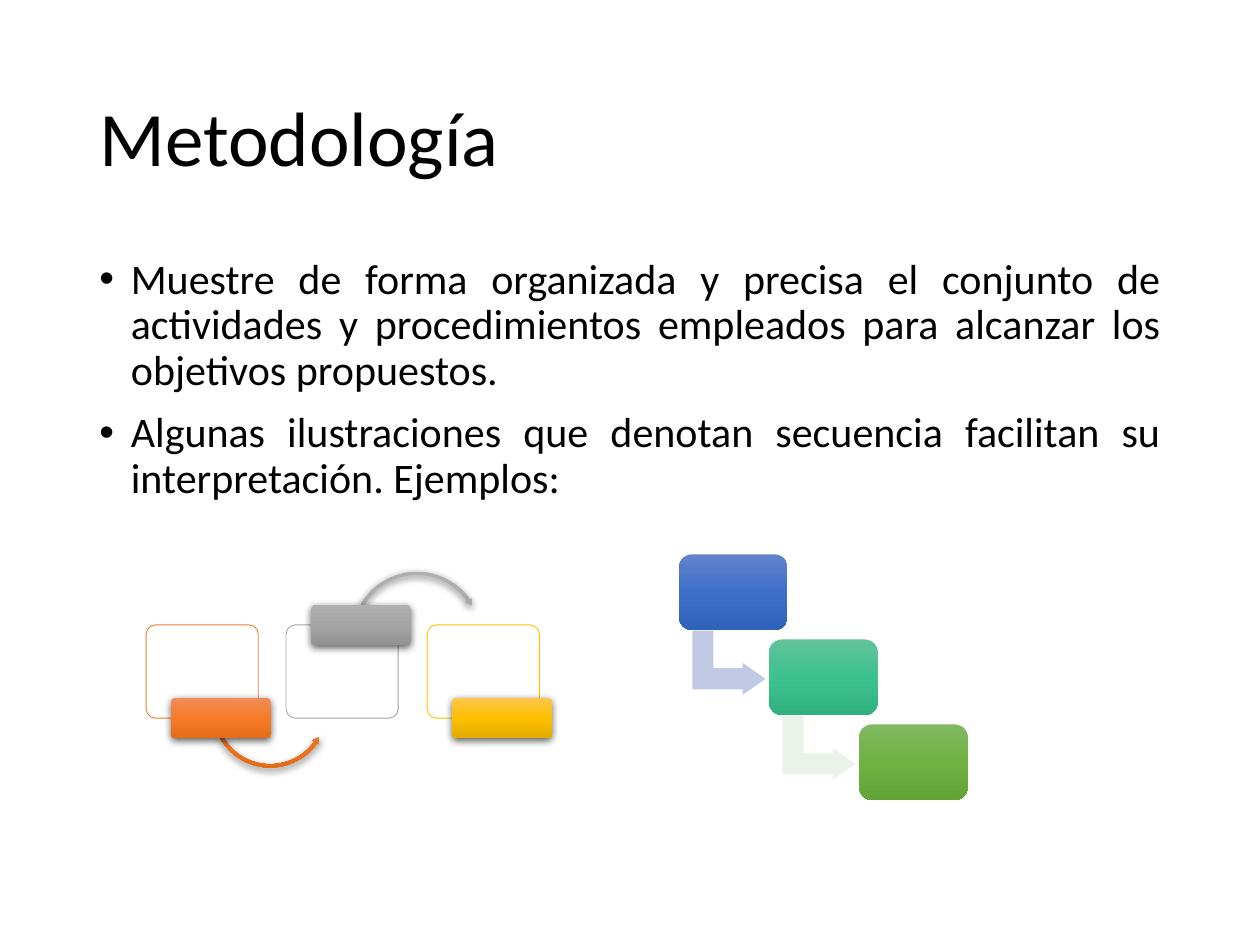
import copy

import pptx
import pptx.dml.color
import pptx.enum.shapes
import pptx.enum.text
import pptx.oxml
import pptx.oxml.ns
import pptx.util

Inches, Pt = pptx.util.Inches, pptx.util.Pt
RGBColor = pptx.dml.color.RGBColor
MSO_SHAPE = pptx.enum.shapes.MSO_SHAPE
PP_ALIGN = pptx.enum.text.PP_ALIGN
MSO_ANCHOR = pptx.enum.text.MSO_ANCHOR
qn = pptx.oxml.ns.qn
NS = pptx.oxml.ns.nsdecls("a")

BLACK = RGBColor(0x00, 0x00, 0x00)
WHITE = RGBColor(0xFF, 0xFF, 0xFF)
ORANGE_LINE = RGBColor(0xED, 0x7D, 0x31)
GRAY_LINE = RGBColor(0xA5, 0xA5, 0xA5)
GOLD_LINE = RGBColor(0xFF, 0xC0, 0x00)
ORANGE = [RGBColor(0xF1, 0x8C, 0x57), RGBColor(0xF6, 0x7B, 0x28), RGBColor(0xE5, 0x6C, 0x19)]
GRAY = [RGBColor(0xAF, 0xAF, 0xAF), GRAY_LINE, RGBColor(0x93, 0x93, 0x93)]
GOLD = [RGBColor(0xFF, 0xC6, 0x4B), GOLD_LINE, RGBColor(0xE3, 0xAB, 0x00)]
BLUE = [RGBColor(0x61, 0x83, 0xCB), RGBColor(0x3E, 0x70, 0xCA), RGBColor(0x30, 0x62, 0xBB)]
TEAL = [RGBColor(0x60, 0xC3, 0x9A), RGBColor(0x3D, 0xC1, 0x8F), RGBColor(0x31, 0xB0, 0x80)]
GREEN = [RGBColor(0x81, 0xB8, 0x61), RGBColor(0x6F, 0xB2, 0x42), RGBColor(0x62, 0xA3, 0x36)]
PALE_BLUE = RGBColor(0xC1, 0xC9, 0xE4)
PALE_GREEN = RGBColor(0xEB, 0xF2, 0xE9)

prs = pptx.Presentation()
prs.slide_width, prs.slide_height = Inches(10), Inches(7.5)
s = prs.slides.add_slide(prs.slide_layouts[6])


def add_shape(kind, box, adjustments, fill, line=None, shadow=False):
    """Add a preset shape; a list of three colours makes a vertical gradient."""
    sp = s.shapes.add_shape(kind, *[Inches(v) for v in box])
    for i, value in enumerate(adjustments):
        sp.adjustments[i] = value
    if isinstance(fill, list):
        sp.fill.gradient()
        stops = sp._element.spPr.find(".//" + qn("a:gsLst"))
        stops.append(copy.deepcopy(stops[-1]))
        for stop, color, position in zip(sp.fill.gradient_stops, fill, (0, 0.5, 1)):
            stop.color.rgb, stop.position = color, position
        sp.fill.gradient_angle = 270
    else:
        sp.fill.solid()
        sp.fill.fore_color.rgb = fill
    if line is None:
        sp.line.fill.background()
    else:
        sp.line.color.rgb, sp.line.width = line, Pt(0.5)
    sp.shadow.inherit = False
    if shadow:
        sp._element.spPr.find(qn("a:effectLst")).append(pptx.oxml.parse_xml(
            f'<a:outerShdw {NS} blurRad="57150" dist="19050" dir="5400000" algn="ctr" '
            'rotWithShape="0"><a:srgbClr val="000000"><a:alpha val="63000"/>'
            '</a:srgbClr></a:outerShdw>'))
    return sp


def add_text(box, anchor, paragraphs, size, bullet=False):
    tf = s.shapes.add_textbox(*[Inches(v) for v in box]).text_frame
    tf.word_wrap, tf.vertical_anchor = True, anchor
    for i, text in enumerate(paragraphs):
        p = tf.paragraphs[0] if i == 0 else tf.add_paragraph()
        p.line_spacing = 0.9
        if i:
            p.space_before = Pt(10)
        if bullet:
            p.alignment = PP_ALIGN.JUSTIFY
            pPr = p._p.get_or_add_pPr()
            pPr.set("marL", str(Inches(0.25)))
            pPr.set("indent", str(Inches(-0.25)))
            pPr.append(pptx.oxml.parse_xml(f'<a:buFont {NS} typeface="Arial"/>'))
            pPr.append(pptx.oxml.parse_xml(f'<a:buChar {NS} char="•"/>'))
        r = p.add_run()
        r.text = text
        for name, value in {"name": "Calibri", "size": Pt(size)}.items():
            setattr(r.font, name, value)
        r.font.color.rgb = BLACK


# Alternating flow: panel, curved arrow and tab for each stage
stages = [
    (ORANGE_LINE, ORANGE, 1.36, 5.54,
     (MSO_SHAPE.LEFT_CIRCULAR_ARROW, (1.67, 5.16, 0.95, 0.95),
      (0.028, 3.427, 21.182, 90.245, 0.033))),
    (GRAY_LINE, GRAY, 2.47, 4.8,
     (MSO_SHAPE.CIRCULAR_ARROW, (2.78, 4.52, 1.06, 1.06),
      (0.025, 3.039, 195.206, 125.755, 0.029))),
    (GOLD_LINE, GOLD, 3.59, 5.54, None),
]
for line, fill, tab_x, tab_y, arrow in stages:
    panel = add_shape(MSO_SHAPE.ROUNDED_RECTANGLE, (tab_x - 0.2, 4.96, 0.89, 0.74),
                      [0.1], WHITE, line)
    white = panel._element.spPr.find(qn("a:solidFill"))[0]
    white.append(pptx.oxml.parse_xml(f'<a:alpha {NS} val="90000"/>'))
    if arrow:
        add_shape(*arrow, fill, shadow=True)
    add_shape(MSO_SHAPE.ROUNDED_RECTANGLE, (tab_x, tab_y, 0.79, 0.32), [0.1], fill, shadow=True)

# Step-down process: bent arrow leading from each step to the next
for i, (fill, arrow_fill) in enumerate([(BLUE, PALE_BLUE), (TEAL, PALE_GREEN), (GREEN, None)]):
    dx, dy = 0.715 * i, 0.675 * i
    if arrow_fill is not None:
        sp = add_shape(MSO_SHAPE.BENT_UP_ARROW, (5.53 + dx, 4.97 + dy, 0.51, 0.58),
                       [0.328, 0.25, 0.358], arrow_fill)
        sp.rotation = 90
    add_shape(MSO_SHAPE.ROUNDED_RECTANGLE, (5.39 + dx, 4.4 + dy, 0.86, 0.6), [0.167], fill)

# Title and body
add_text((0.69, 0.4, 8.62, 1.45), MSO_ANCHOR.MIDDLE, ["Metodología"], 44)
add_text((0.69, 2, 8.62, 4.76), MSO_ANCHOR.TOP, [
    "Muestre de forma organizada y precisa el conjunto de actividades y "
    "procedimientos empleados para alcanzar los objetivos propuestos.",
    "Algunas ilustraciones que denotan secuencia facilitan su interpretación. Ejemplos:",
], 24, bullet=True)

prs.save("out.pptx")
